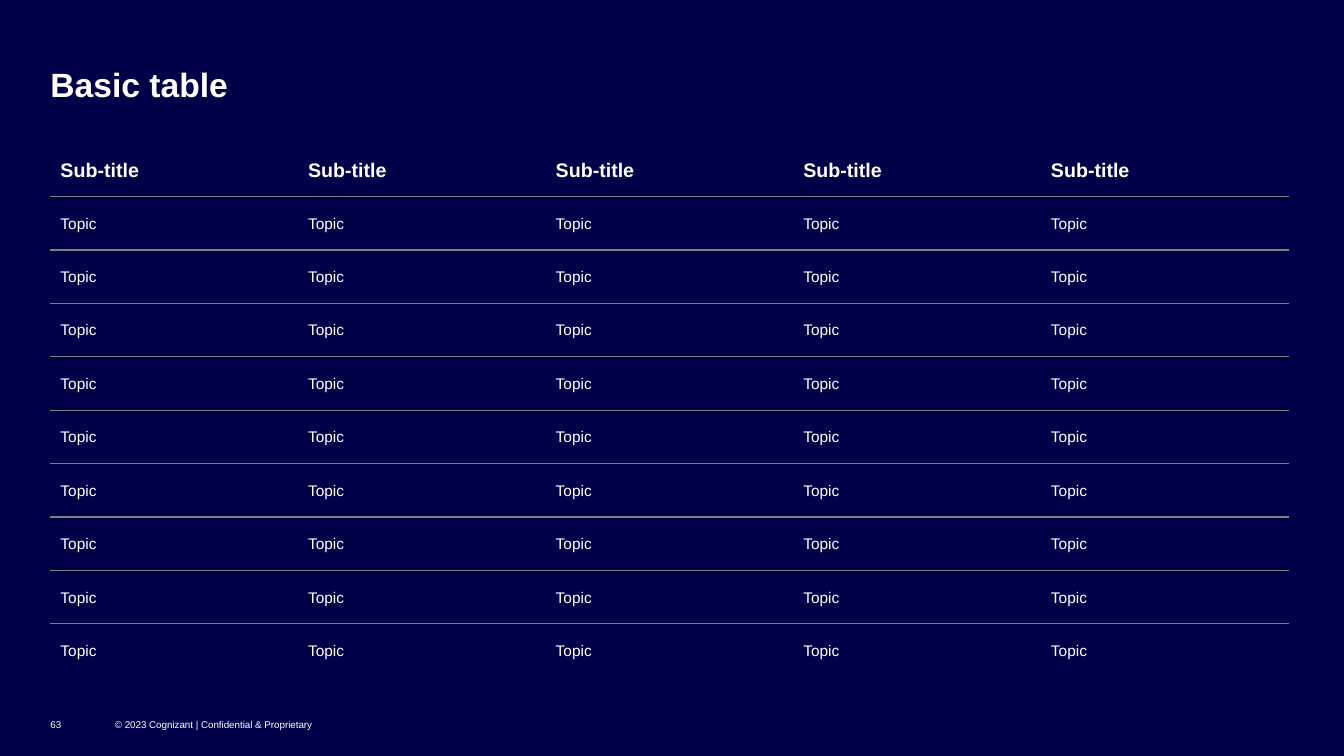
from lxml.etree import SubElement
from pptx import Presentation
from pptx.dml.color import RGBColor
from pptx.enum.text import MSO_ANCHOR as Anchor
from pptx.oxml.ns import qn
from pptx.util import Inches, Pt

NAVY = RGBColor(0x00, 0x00, 0x48)
WHITE = RGBColor(0xFF, 0xFF, 0xFF)
GRAY = RGBColor(0x80, 0x80, 0x80)
FONT = "Arial"

SLIDE_WIDTH, SLIDE_HEIGHT = 13.33, 7.5
MARGIN = 0.5
TABLE_TOP, TABLE_WIDTH = 1.43, 12.28
HEADER_HEIGHT, ROW_HEIGHT = 0.52, 0.53
COLUMNS, TOPIC_ROWS = 5, 9
FOOTER_TOP, FOOTER_HEIGHT = 6.85, 0.4


def add_run(paragraph, text, size, bold=False):
    """Add one white run to a paragraph."""
    run = paragraph.add_run()
    run.text = text
    run.font.name = FONT
    run.font.size = Pt(size)
    run.font.bold = bold
    run.font.color.rgb = WHITE


def add_label(slide, text, box, size, bold=False, anchor=Anchor.TOP, wrap=True):
    """Add a text box without insets."""
    frame = slide.shapes.add_textbox(*map(Inches, box)).text_frame
    frame.margin_left = frame.margin_right = 0
    frame.margin_top = frame.margin_bottom = 0
    frame.vertical_anchor = anchor
    frame.word_wrap = wrap
    add_run(frame.paragraphs[0], text, size, bold)


def set_borders(cell, ruled_sides):
    """Rule the named sides of a cell and clear the others."""
    properties = cell._tc.get_or_add_tcPr()
    for side in ("L", "R", "T", "B"):
        line = SubElement(properties, qn(f"a:ln{side}"), w=str(Pt(1)))
        if side in ruled_sides:
            fill = SubElement(line, qn("a:solidFill"))
            SubElement(fill, qn("a:srgbClr"), val=str(GRAY))
        else:
            SubElement(line, qn("a:noFill"))


def fill_cell(cell, text, size, bold, ruled_sides):
    """Write and style one table cell."""
    cell.margin_left = Inches(0.1)
    cell.margin_right = cell.margin_top = Inches(0.01)
    cell.margin_bottom = 0
    cell.vertical_anchor = Anchor.MIDDLE
    set_borders(cell, ruled_sides)
    cell.fill.background()
    add_run(cell.text_frame.paragraphs[0], text, size, bold)


def add_topic_table(slide):
    """Add the table with a header row and ruled topic rows."""
    height = HEADER_HEIGHT + TOPIC_ROWS * ROW_HEIGHT
    box = map(Inches, (MARGIN, TABLE_TOP, TABLE_WIDTH, height))
    table = slide.shapes.add_table(TOPIC_ROWS + 1, COLUMNS, *box).table
    table.horz_banding = False
    for column in table.columns:
        column.width = Inches(TABLE_WIDTH / COLUMNS)
    for index, row in enumerate(table.rows):
        header = index == 0
        row.height = Inches(HEADER_HEIGHT if header else ROW_HEIGHT)
        text, size = ("Sub-title", 14) if header else ("Topic", 11)
        ruled_sides = ("" if header else "T") + ("B" if index < TOPIC_ROWS else "")
        for cell in row.cells:
            fill_cell(cell, text, size, header, ruled_sides)


def add_footer(slide, text, left, width):
    """Add a small footer label."""
    box = (left, FOOTER_TOP, width, FOOTER_HEIGHT)
    add_label(slide, text, box, 7, anchor=Anchor.BOTTOM, wrap=False)


def main():
    """Build and save the slide."""
    presentation = Presentation()
    presentation.slide_width = Inches(SLIDE_WIDTH)
    presentation.slide_height = Inches(SLIDE_HEIGHT)
    slide = presentation.slides.add_slide(presentation.slide_layouts[6])
    slide.background.fill.solid()
    slide.background.fill.fore_color.rgb = NAVY

    add_label(slide, "Basic table", (MARGIN, 0.63, 11.82, 0.34), 24, bold=True)
    add_topic_table(slide)
    add_footer(slide, "© 2023 Cognizant | Confidential & Proprietary", 1.14, 2.01)
    add_footer(slide, "63", MARGIN, 0.39)
    presentation.save("out.pptx")


if __name__ == "__main__":
    main()
